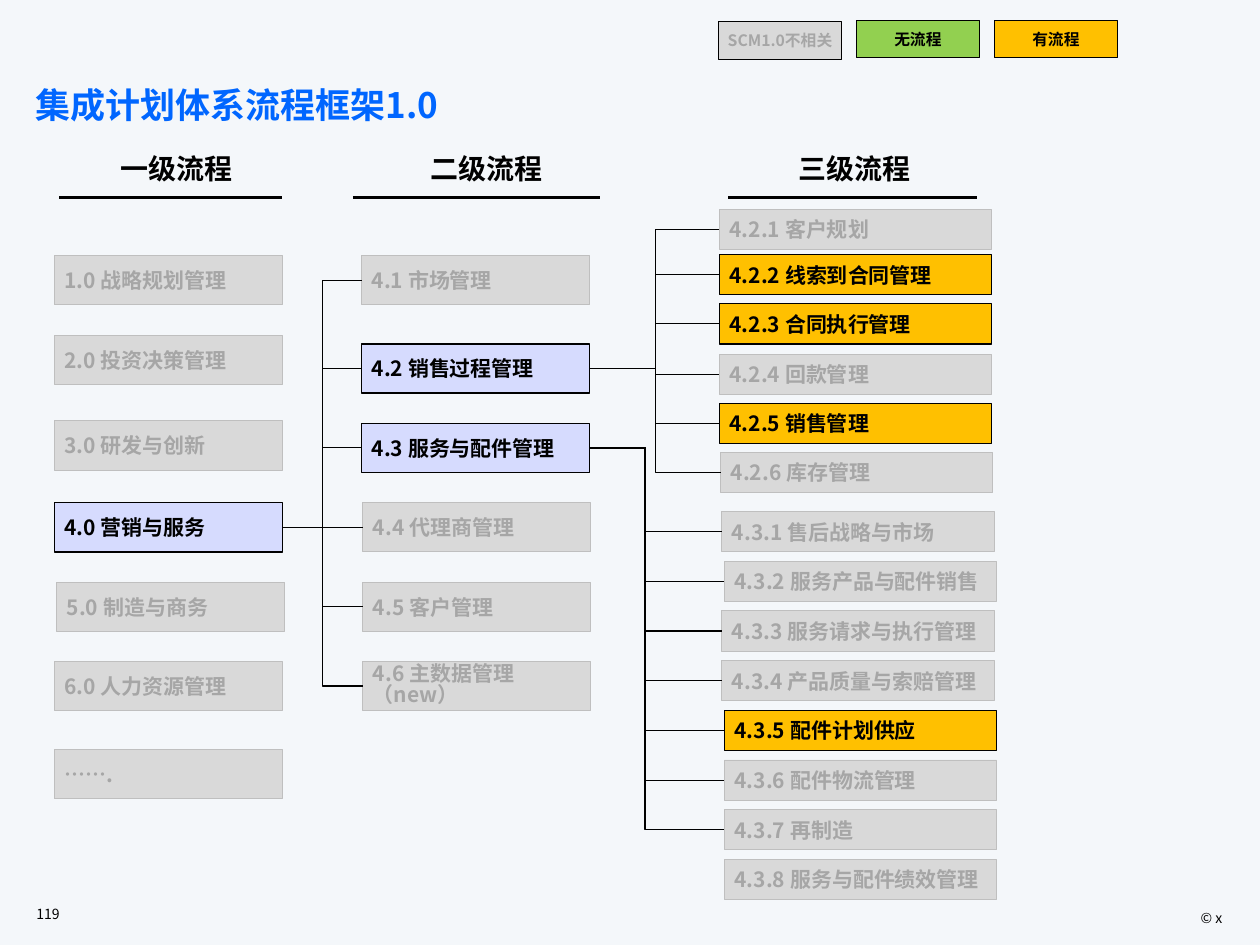
from lxml import etree
from pptx import Presentation
from pptx.dml.color import RGBColor
from pptx.enum.shapes import MSO_CONNECTOR, MSO_SHAPE
from pptx.enum.text import MSO_ANCHOR, PP_ALIGN
from pptx.oxml.ns import qn
from pptx.util import Inches, Pt

FONT = "Noto Sans CJK SC"
BACKGROUND = RGBColor(0xF4, 0xF7, 0xFA)
BLUE = RGBColor(0x00, 0x66, 0xFF)
BLACK = RGBColor(0x00, 0x00, 0x00)
GREY = RGBColor(0xD9, 0xD9, 0xD9)
GREY_LINE = RGBColor(0xBF, 0xBF, 0xBF)
GREY_TEXT = RGBColor(0xA6, 0xA6, 0xA6)
LAVENDER = RGBColor(0xD6, 0xDB, 0xFE)
AMBER = RGBColor(0xFF, 0xC0, 0x00)
GREEN = RGBColor(0x92, 0xD0, 0x50)

RECT = MSO_SHAPE.RECTANGLE
STRAIGHT, ELBOW = MSO_CONNECTOR.STRAIGHT, MSO_CONNECTOR.ELBOW
TOP, MIDDLE = MSO_ANCHOR.TOP, MSO_ANCHOR.MIDDLE
LEFT, CENTER, RIGHT = PP_ALIGN.LEFT, PP_ALIGN.CENTER, PP_ALIGN.RIGHT
LEFT_SIDE, RIGHT_SIDE = 1, 3

# Box styles: fill, line colour, line width, text colour
OTHER = (GREY, GREY_LINE, 0.5, GREY_TEXT)
FOCUS = (LAVENDER, BLACK, 0.75, BLACK)
PROCESS = (AMBER, BLACK, 0.75, BLACK)


def write(s, text, size, color, bold=True, align=LEFT, anchor=TOP,
          insets=(0.1, 0.05, 0.1, 0.05), wrap=True, spacing=None):
    tf = s.text_frame
    tf.word_wrap = wrap
    tf.vertical_anchor = anchor
    (tf.margin_left, tf.margin_top,
     tf.margin_right, tf.margin_bottom) = map(Inches, insets)
    p = tf.paragraphs[0]
    p.text = text
    p.alignment = align
    if spacing:
        p.line_spacing = spacing
    p.font.name, p.font.size, p.font.bold = FONT, Pt(size), bold
    p.font.color.rgb = color
    # East Asian typeface
    props = p._p.pPr.find(qn("a:defRPr"))
    etree.SubElement(props, qn("a:ea")).set("typeface", FONT)


def add_label(slide, box, text, size, color, **options):
    s = slide.shapes.add_textbox(*map(Inches, box))
    write(s, text, size, color, **options)


def add_box(slide, box, text, style, size=12, **options):
    fill, line, width, color = style
    s = slide.shapes.add_shape(RECT, *map(Inches, box))
    s.shadow.inherit = False
    s.fill.solid()
    s.fill.fore_color.rgb = fill
    s.line.color.rgb = line
    s.line.width = Pt(width)
    write(s, text, size, color, anchor=MIDDLE, **options)
    return s


def add_line(slide, kind, ends, width):
    line = slide.shapes.add_connector(kind, *ends)
    line.line.color.rgb = BLACK
    line.line.width = Pt(width)
    etree.SubElement(line._element.spPr, qn("a:effectLst"))
    return line


def add_heading(slide, left, width, text, text_left):
    add_label(slide, (text_left, 1.15, 1.1, 0.37), text, 16, BLACK, wrap=False)
    y = Inches(1.57)
    add_line(slide, STRAIGHT, (Inches(left), y, Inches(left + width), y), 1.5)


def add_column(slide, width, height, items):
    """Stack the boxes of one level; each item is left, top, text, style."""
    boxes = []
    for left, top, text, style in items:
        spacing = 0.82 if "new" in text else None
        boxes.append(add_box(slide, (left, top, width, height), text, style,
                             insets=(0.08, 0.04, 0.02, 0.04), spacing=spacing))
    return boxes


def add_branches(slide, parent, children, trunk):
    """Join the parent to each child by way of a shared vertical trunk."""
    x0 = parent.left + parent.width
    y0 = parent.top + parent.height // 2
    for child in children:
        ends = (x0, y0, child.left, child.top + child.height // 2)
        line = add_line(slide, ELBOW, ends, 0.75)
        line.begin_connect(parent, RIGHT_SIDE)
        line.end_connect(child, LEFT_SIDE)
        share = (Inches(trunk) - x0) / (child.left - x0)
        guides = line._element.spPr.find(qn("a:prstGeom")).get_or_add_avLst()
        guide = etree.SubElement(guides, qn("a:gd"))
        guide.set("name", "adj1")
        guide.set("fmla", f"val {round(share * 100000)}")


def add_legend(slide, left, top):
    entries = [("SCM1.0不相关", GREY, GREY_TEXT, 0.01),
               ("无流程", GREEN, BLACK, 0), ("有流程", AMBER, BLACK, 0)]
    for i, (text, fill, color, drop) in enumerate(entries):
        add_box(slide, (left + 1.095 * i, top + drop, 0.98, 0.3), text,
                (fill, BLACK, 0.5, color), size=9, align=CENTER,
                insets=(0.02, 0.04, 0.02, 0.04))


def add_process_tree(slide):
    level1 = add_column(slide, 1.81, 0.39, [
        (0.43, 2.03, "1.0 战略规划管理", OTHER),
        (0.43, 2.66, "2.0 投资决策管理", OTHER),
        (0.43, 3.34, "3.0 研发与创新", OTHER),
        (0.43, 3.99, "4.0 营销与服务", FOCUS),
        (0.45, 4.62, "5.0 制造与商务", OTHER),
        (0.43, 5.25, "6.0 人力资源管理", OTHER),
        (0.43, 5.95, "…….", OTHER),
    ])
    level2 = add_column(slide, 1.81, 0.39, [
        (2.87, 2.03, "4.1 市场管理", OTHER),
        (2.87, 2.73, "4.2 销售过程管理", FOCUS),
        (2.87, 3.36, "4.3 服务与配件管理", FOCUS),
        (2.88, 3.99, "4.4 代理商管理", OTHER),
        (2.88, 4.62, "4.5 客户管理", OTHER),
        (2.88, 5.25, "4.6 主数据管理（new）", OTHER),
    ])
    sales = add_column(slide, 2.16, 0.32, [
        (5.71, 1.66, "4.2.1 客户规划", OTHER),
        (5.71, 2.02, "4.2.2 线索到合同管理", PROCESS),
        (5.71, 2.41, "4.2.3 合同执行管理", PROCESS),
        (5.71, 2.81, "4.2.4 回款管理", OTHER),
        (5.71, 3.2, "4.2.5 销售管理", PROCESS),
        (5.72, 3.59, "4.2.6 库存管理", OTHER),
    ])
    service_items = [
        (5.73, "4.3.1 售后战略与市场", OTHER),
        (5.75, "4.3.2 服务产品与配件销售", OTHER),
        (5.73, "4.3.3 服务请求与执行管理", OTHER),
        (5.73, "4.3.4 产品质量与索赔管理", OTHER),
        (5.75, "4.3.5 配件计划供应", PROCESS),
        (5.75, "4.3.6 配件物流管理", OTHER),
        (5.75, "4.3.7 再制造", OTHER),
        (5.75, "4.3.8 服务与配件绩效管理", OTHER),
    ]
    service = add_column(slide, 2.16, 0.32, [
        (left, 4.06 + 2.76 / 7 * i, text, style)
        for i, (left, text, style) in enumerate(service_items)])

    add_branches(slide, level1[3], level2, 2.56)
    add_branches(slide, level2[1], sales, 5.2)
    add_branches(slide, level2[2], service[:-1], 5.12)  # 4.3.8 stays unjoined


def main():
    prs = Presentation()
    prs.slide_width, prs.slide_height = Inches(10), Inches(7.5)
    slide = prs.slides.add_slide(prs.slide_layouts[6])
    slide.background.fill.solid()
    slide.background.fill.fore_color.rgb = BACKGROUND

    # Title and legend
    add_label(slide, (0.18, 0.65, 9.65, 0.76), "集成计划体系流程框架1.0", 20, BLUE,
              spacing=0.9)
    add_legend(slide, 5.7, 0.16)

    # Column headings
    add_heading(slide, 0.47, 1.77, "一级流程", 0.86)
    add_heading(slide, 2.8, 1.96, "二级流程", 3.32)
    add_heading(slide, 5.78, 1.97, "三级流程", 6.24)

    add_process_tree(slide)

    # Footer
    add_label(slide, (0.19, 7.13, 0.7, 0.24), "119", 8, BLACK, bold=False,
              anchor=MIDDLE)
    add_label(slide, (8.3, 7.17, 1.5, 0.2), "© x", 8, BLACK, bold=False,
              align=RIGHT)
    prs.save("out.pptx")


if __name__ == "__main__":
    main()
